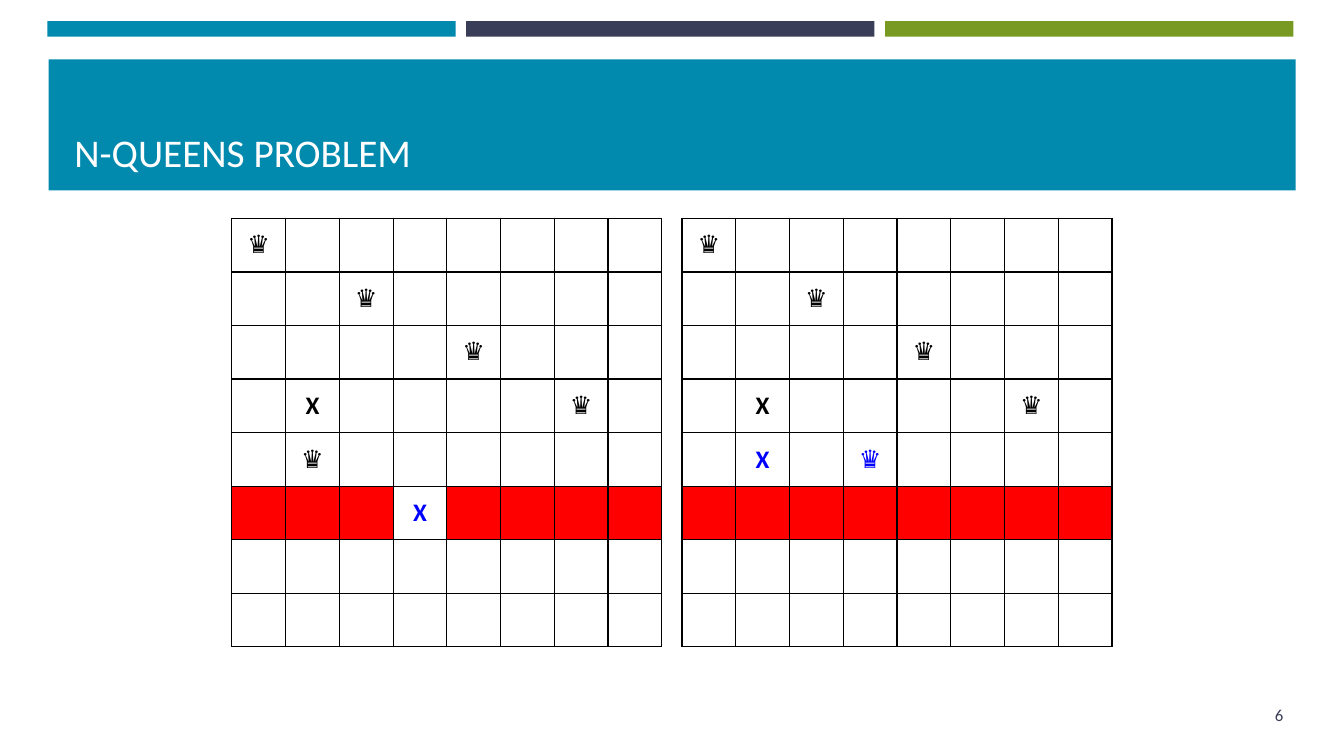
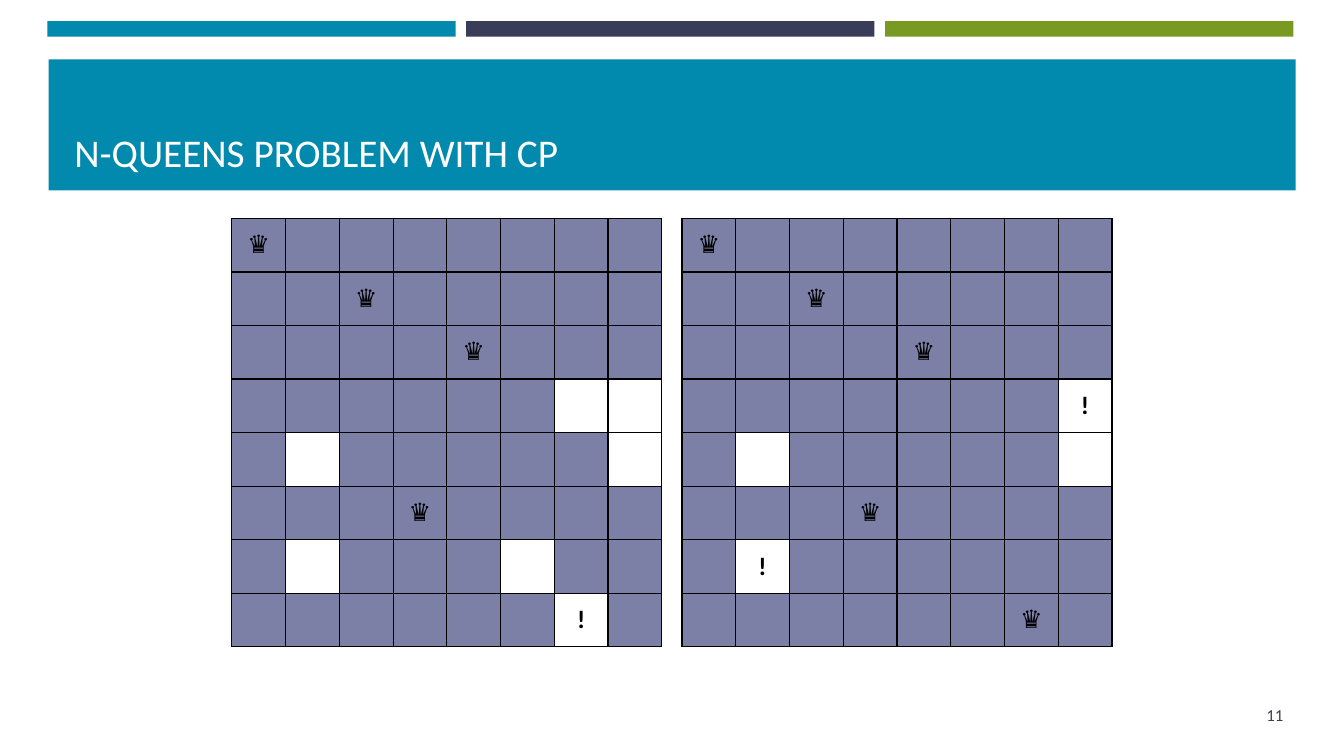
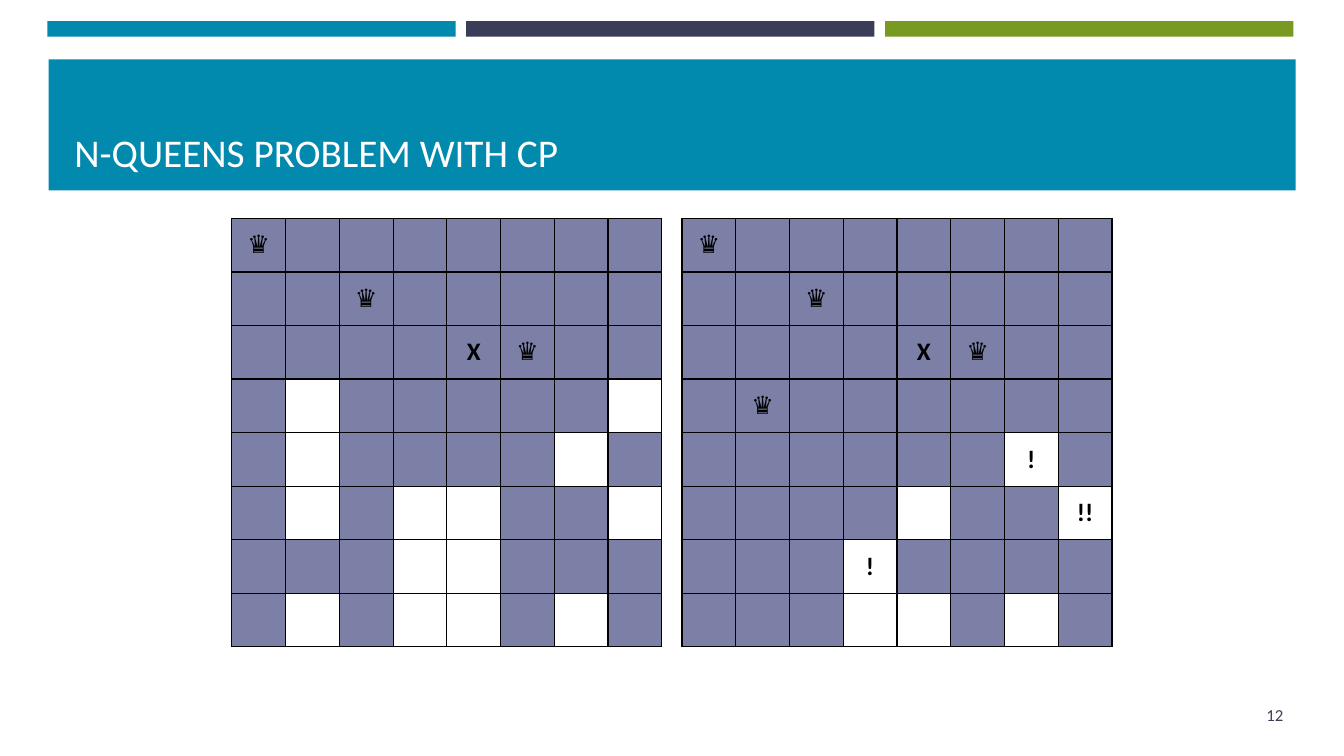
import pptx
import pptx.util
import pptx.dml.color
import pptx.enum.shapes
import pptx.enum.text
import pptx.oxml
import pptx.oxml.ns

TEAL, NAVY, GREEN = "028AAE", "3A3D57", "799A22"
WHITE, BLACK, BLUE, RED, SHADE = "FFFFFF", "000000", "0000FF", "FF0000", "7C80A7"
FONT = "Calibri"
ALIGN = pptx.enum.text.PP_ALIGN
ANCHOR = pptx.enum.text.MSO_ANCHOR

MARKS = {
    "Q": ("♛", BLACK, False),
    "q": ("♛", BLUE, False),
    "X": ("X", BLACK, True),
    "x": ("X", BLUE, True),
    "*": ("X", BLUE, True),
    "!": ("!", BLACK, True),
    "2": ("!!", BLACK, True),
}
FILLS = {"o": WHITE, "*": WHITE, "!": WHITE, "2": WHITE, "R": RED}

SLIDES = [
    ("N-QUEENS PROBLEM", 6, WHITE, [
        "Q....... ..Q..... ....Q... .X....Q. .Q...... RRR*RRRR ........ ........",
        "Q....... ..Q..... ....Q... .X....Q. .x.q.... RRRRRRRR ........ ........",
    ]),
    ("N-QUEENS PROBLEM WITH CP", 11, SHADE, [
        "Q....... ..Q..... ....Q... ......oo .o.....o ...Q.... .o...o.. ......!.",
        "Q....... ..Q..... ....Q... .......! .o.....o ...Q.... .!...... ......Q.",
    ]),
    ("N-QUEENS PROBLEM WITH CP", 12, SHADE, [
        "Q....... ..Q..... ....XQ.. .o.....o .o....o. .o.oo..o ...oo... .o.oo.o.",
        "Q....... ..Q..... ....XQ.. .Q...... ......!. ....o..2 ...!.... ...oo.o.",
    ]),
]


def color(code):
    return pptx.dml.color.RGBColor.from_string(code)


class Deck:
    def __init__(self):
        self.show = pptx.Presentation()
        self.show.slide_width = pptx.util.Inches(13.33)
        self.show.slide_height = pptx.util.Inches(7.5)

    def place(self, left, top, width, height):
        wide, high = self.show.slide_width, self.show.slide_height
        pairs = (left, wide), (top, high), (width, wide), (height, high)
        return [pptx.util.Emu(round(share * size / 100)) for share, size in pairs]

    def start(self, title, page):
        self.slide = self.show.slides.add_slide(self.show.slide_layouts[6])
        for step, tint in enumerate((TEAL, NAVY, GREEN)):
            self.band((3.53 + 31.16 * step, 2.8, 30.38, 2.07), tint)
        self.band((3.62, 7.87, 92.78, 17.33), TEAL)
        self.label((4.8, 9.47, 90.45, 14.4), title, 28, WHITE, ALIGN.LEFT, ANCHOR.BOTTOM)
        self.label((87.38, 91.87, 8.85, 5.33), str(page), 12, NAVY, ALIGN.RIGHT, ANCHOR.MIDDLE)

    def band(self, area, tint):
        kind = pptx.enum.shapes.MSO_SHAPE.RECTANGLE
        shape = self.slide.shapes.add_shape(kind, *self.place(*area))
        shape.shadow.inherit = False
        shape.fill.solid()
        shape.fill.fore_color.rgb = color(tint)
        shape.line.fill.background()

    def label(self, area, text, size, tint, align, anchor):
        frame = self.slide.shapes.add_textbox(*self.place(*area)).text_frame
        frame.word_wrap = True
        frame.vertical_anchor = anchor
        self.words(frame, text, size, tint, align)

    def words(self, frame, text, size, tint, align, bold=False):
        para = frame.paragraphs[0]
        para.text = text
        para.alignment = align
        para.font.name = FONT
        para.font.size = pptx.util.Pt(size)
        para.font.bold = bold
        para.font.color.rgb = color(tint)

    def board(self, area, rows, base):
        frame = self.slide.shapes.add_table(len(rows), len(rows[0]), *self.place(*area))
        table = frame.table
        table.first_row = table.horz_banding = False
        for down, row in enumerate(rows):
            for over, code in enumerate(row):
                self.square(table.cell(down, over), code, base)

    def square(self, cell, code, base):
        self.edge(cell)
        cell.fill.solid()
        cell.fill.fore_color.rgb = color(FILLS.get(code, base))
        cell.vertical_anchor = ANCHOR.MIDDLE
        if code in MARKS:
            text, tint, bold = MARKS[code]
            self.words(cell.text_frame, text, 18, tint, ALIGN.CENTER, bold)

    def edge(self, cell):
        props = cell._tc.get_or_add_tcPr()
        space = pptx.oxml.ns.nsdecls("a")
        for side in "LRTB":
            props.append(pptx.oxml.parse_xml(
                f'<a:ln{side} {space} w="12700"><a:solidFill>'
                f'<a:srgbClr val="{BLACK}"/></a:solidFill></a:ln{side}>'))


def main():
    deck = Deck()
    for title, page, base, boards in SLIDES:
        deck.start(title, page)
        for step, rows in enumerate(boards):
            deck.board((17.25 + 33.49 * step, 28.9, 32, 56.67), rows.split(), base)
    deck.show.save("out.pptx")


if __name__ == "__main__":
    main()
